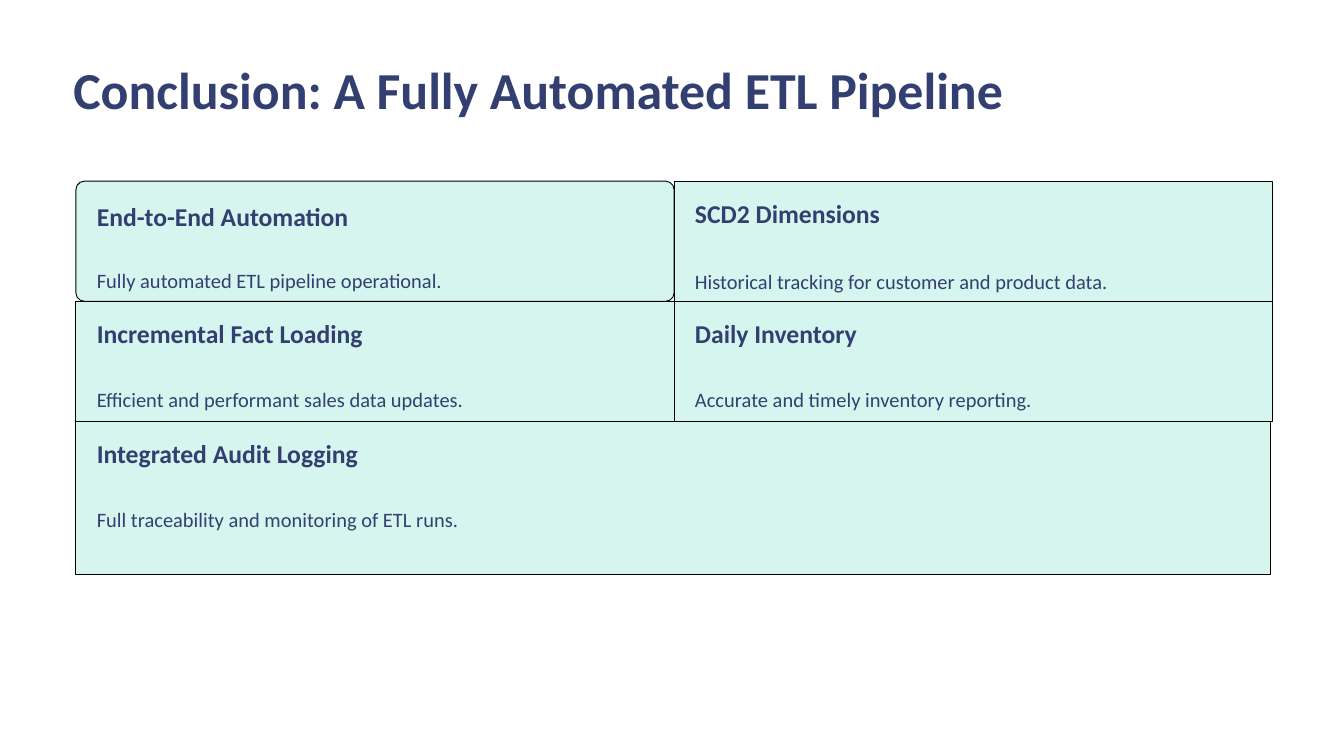
from pptx import Presentation
from pptx.dml.color import RGBColor
from pptx.enum.shapes import MSO_SHAPE
from pptx.util import Cm, Pt

NAVY, MINT, BLACK = "333F70", "D6F5EE", "000000"


def color(value):
    return RGBColor.from_string(value)


def add_text(page, text, left, top, width, height, size, spacing, bold=False):
    box = page.shapes.add_textbox(Cm(left), Cm(top), Cm(width), Cm(height))
    frame = box.text_frame
    frame.word_wrap = True
    frame.margin_left = frame.margin_top = frame.margin_right = frame.margin_bottom = 0
    frame.text = text
    paragraph = frame.paragraphs[0]
    paragraph.line_spacing = Pt(spacing)
    span = paragraph.runs[0]
    span.font.name = "Calibri"
    span.font.size = Pt(size)
    span.font.bold = bold
    span.font.color.rgb = color(NAVY)


deck = Presentation()
deck.slide_width, deck.slide_height = Cm(50.8), Cm(28.58)
page = deck.slides.add_slide(deck.slide_layouts[6])

# Title
add_text(page, "Conclusion: A Fully Automated ETL Pipeline",
         2.77, 2.08, 45.29, 2.77, 55.6, 69.4, bold=True)

# Card grid: two columns, the last card spans both
LEFT, TOP, CARD_WIDTH, CARD_HEIGHT, INDENT = 2.87, 6.85, 22.61, 4.54, 0.79
WIDE, TALL = 45.15, 5.79

# Heading, body, and the drop of each from the top of its card
cards = [
    ("End-to-End Automation", "Fully automated ETL pipeline operational.", 0.69, 2.95),
    ("SCD2 Dimensions", "Historical tracking for customer and product data.", 0.57, 3.0),
    ("Incremental Fact Loading", "Efficient and performant sales data updates.", 0.57, 2.92),
    ("Daily Inventory", "Accurate and timely inventory reporting.", 0.57, 2.92),
    ("Integrated Audit Logging", "Full traceability and monitoring of ETL runs.", 0.57, 2.92),
]

for index, (heading, body, heading_drop, body_drop) in enumerate(cards):
    row, column = divmod(index, 2)
    left = LEFT + column * CARD_WIDTH
    top = TOP + row * CARD_HEIGHT
    is_last = index == len(cards) - 1
    width, height = (WIDE, TALL) if is_last else (CARD_WIDTH, CARD_HEIGHT)

    # Card background, rounded only for the first
    kind = MSO_SHAPE.ROUNDED_RECTANGLE if index == 0 else MSO_SHAPE.RECTANGLE
    card = page.shapes.add_shape(kind, Cm(left), Cm(top), Cm(width), Cm(height))
    if index == 0:
        card.adjustments[0] = 0.07
    card.shadow.inherit = False
    card.fill.solid()
    card.fill.fore_color.rgb = color(MINT)
    card.line.color.rgb = color(BLACK)
    card.line.width = Pt(1)

    # Card text
    add_text(page, heading, left + INDENT, top + heading_drop, 21.03, 1.35, 27.5, 34.4, bold=True)
    add_text(page, body, left + INDENT, top + body_drop, 21.03, 1.3, 21.9, 35.6)

deck.save("out.pptx")
